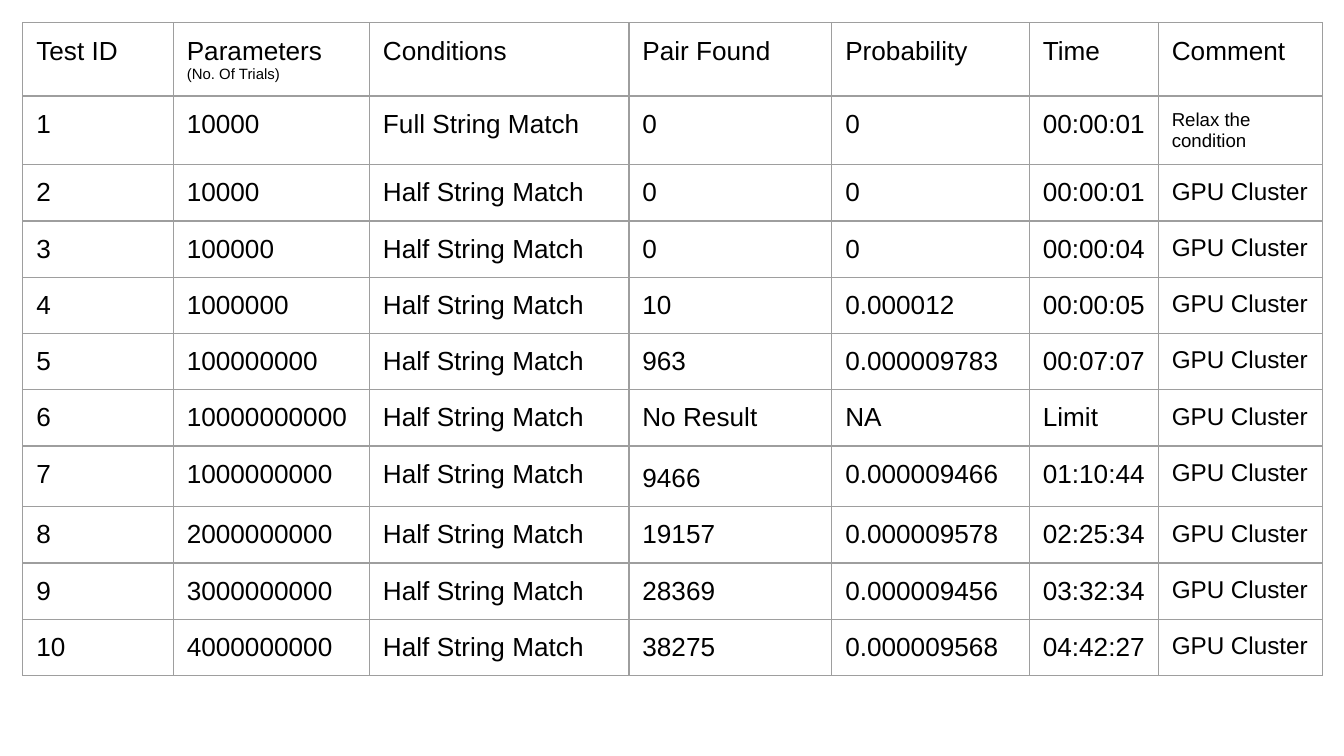
from lxml.etree import SubElement
from pptx import Presentation
from pptx.dml.color import RGBColor
from pptx.oxml.ns import qn
from pptx.util import Inches, Pt


def color(hex_value):
    return RGBColor.from_string(hex_value)


def write(cell, text, sizes=(14,), font="Arial", fill="000000", line_spacing=None):
    """Write one paragraph per line of text, each with its own size."""
    cell.text_frame.text = text
    for paragraph, size in zip(cell.text_frame.paragraphs, sizes):
        paragraph.line_spacing = line_spacing
        run_font = paragraph.runs[0].font
        run_font.name = font
        run_font.size = Pt(size)
        run_font.color.rgb = color(fill)


# Widescreen slide, 16:9
presentation = Presentation()
presentation.slide_width = Inches(10)
presentation.slide_height = Inches(10 * 9 / 16)
slide = presentation.slides.add_slide(presentation.slide_layouts[6])

# Test results
header = ["Test ID", "Parameters\n(No. Of Trials)", "Conditions", "Pair Found",
          "Probability", "Time", "Comment"]
results = [
    ("10000", "0", "0", "00:00:01"),
    ("10000", "0", "0", "00:00:01"),
    ("100000", "0", "0", "00:00:04"),
    ("1000000", "10", "0.000012", "00:00:05"),
    ("100000000", "963", "0.000009783", "00:07:07"),
    ("10000000000", "No Result", "NA", "Limit"),
    ("1000000000", "9466", "0.000009466", "01:10:44"),
    ("2000000000", "19157", "0.000009578", "02:25:34"),
    ("3000000000", "28369", "0.000009456", "03:32:34"),
    ("4000000000", "38275", "0.000009568", "04:42:27"),
]
rows = [header]
for test_id, (trials, pairs, probability, time) in enumerate(results, start=1):
    condition = "Full String Match" if test_id == 1 else "Half String Match"
    comment = "Relax the condition" if test_id == 1 else "GPU Cluster"
    rows.append([str(test_id), trials, condition, pairs, probability, time, comment])

# Table grid
column_widths = [1.12, 1.46, 1.93, 1.51, 1.47, 0.96, 1.22]
row_height = 5 / 12
table = slide.shapes.add_table(
    len(rows), len(column_widths), Inches(0.17), Inches(0.17),
    Inches(sum(column_widths)), Inches(row_height * len(rows))).table
table.first_row = False
table.horz_banding = False
for column, width in zip(table.columns, column_widths):
    column.width = Inches(width)
for row in table.rows:
    row.height = Inches(row_height)

# Cells: text, margins, borders
special_sizes = {"Parameters\n(No. Of Trials)": (14, 8),
                 "Relax the condition": (10,), "GPU Cluster": (13,)}
for row, texts in zip(table.rows, rows):
    for cell, text in zip(row.cells, texts):
        write(cell, text, sizes=special_sizes.get(text, (14,)),
              line_spacing=1.15 if text == "9466" else None)
        cell.margin_left = cell.margin_right = Inches(0.1)
        cell.margin_top = cell.margin_bottom = Inches(0.1)
        properties = cell._tc.get_or_add_tcPr()
        for side in ("a:lnL", "a:lnR", "a:lnT", "a:lnB"):
            border = SubElement(properties, qn(side), w=str(Pt(0.75)))
            border_fill = SubElement(border, qn("a:solidFill"))
            SubElement(border_fill, qn("a:srgbClr"), val="9E9E9E")
        cell.fill.background()

presentation.save("out.pptx")
